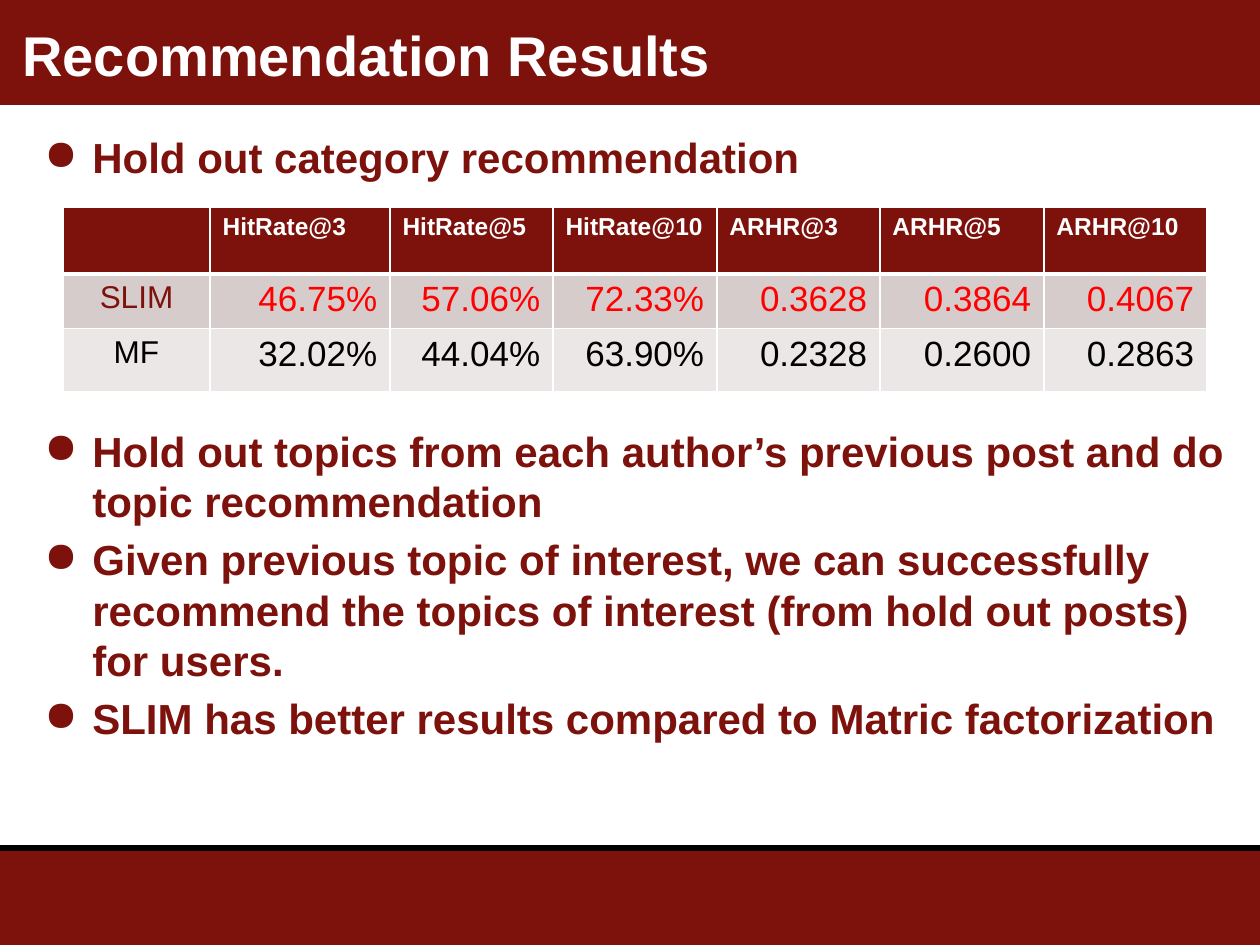
from dataclasses import dataclass

from lxml.etree import SubElement
from pptx import Presentation
from pptx.dml.color import RGBColor
from pptx.enum.shapes import MSO_CONNECTOR, MSO_SHAPE
from pptx.enum.text import MSO_ANCHOR, PP_ALIGN
from pptx.oxml.ns import qn
from pptx.util import Emu, Pt

EMU_PER_PIXEL = 914400 // 126


@dataclass(frozen=True)
class Theme:
    """Colours, font and type sizes of the deck."""
    font: str = "Arial"
    maroon: str = "7D110C"
    white: str = "FFFFFF"
    black: str = "000000"
    red: str = "FF0000"
    rose: str = "D7CCCC"
    pale: str = "ECE7E7"
    title: int = 32
    body: int = 24
    value: int = 20
    label: int = 18
    header: int = 14


@dataclass(frozen=True)
class Bullet:
    """A bulleted statement and the space above it in points."""
    text: str
    space_before: float = 4.8


@dataclass(frozen=True)
class ResultRow:
    """A table row with its look."""
    cells: tuple[str, ...]
    height: int
    fill: str
    label_color: str
    value_color: str
    is_header: bool = False


THEME = Theme()
PAGE_WIDTH, PAGE_HEIGHT = 1260, 945
BULLETS = (
    Bullet("Hold out category recommendation"),
    Bullet("Hold out topics from each author’s previous post and do topic recommendation", 138.8),
    Bullet("Given previous topic of interest, we can successfully recommend "
           "the topics of interest (from hold out posts) for users."),
    Bullet("SLIM has better results compared to Matric factorization"),
)
COLUMN_WIDTHS = (147, 180, 163, 164, 163, 164, 163)
RESULTS = (
    ResultRow(("", "HitRate@3", "HitRate@5", "HitRate@10", "ARHR@3", "ARHR@5", "ARHR@10"),
              67, THEME.maroon, THEME.white, THEME.white, True),
    ResultRow(("SLIM", "46.75%", "57.06%", "72.33%", "0.3628", "0.3864", "0.4067"),
              52, THEME.rose, THEME.maroon, THEME.red),
    ResultRow(("MF", "32.02%", "44.04%", "63.90%", "0.2328", "0.2600", "0.2863"),
              63, THEME.pale, THEME.black, THEME.black),
)


def px(pixels: int) -> Emu:
    """Turn pixels into EMU."""
    return Emu(pixels * EMU_PER_PIXEL)


def add_span(para, text: str, size: int, color: str, bold: bool) -> None:
    """Add one formatted run to a paragraph."""
    span = para.add_run()
    span.text = text
    for name, value in {"name": THEME.font, "size": Pt(size), "bold": bold}.items():
        setattr(span.font, name, value)
    span.font.color.rgb = RGBColor.from_string(color)


def add_band(page, top: int, height: int) -> None:
    """Draw a full-width maroon band."""
    band = page.shapes.add_shape(MSO_SHAPE.RECTANGLE, 0, px(top), px(PAGE_WIDTH), px(height))
    band.shadow.inherit = False
    band.fill.solid()
    band.fill.fore_color.rgb = RGBColor.from_string(THEME.maroon)
    band.line.fill.background()


def add_rule(page, top: int) -> None:
    """Draw the black line above the footer."""
    rule = page.shapes.add_connector(
        MSO_CONNECTOR.STRAIGHT, 0, px(top), px(PAGE_WIDTH), px(top))
    rule.line.color.rgb = RGBColor.from_string(THEME.black)
    rule.line.width = Pt(3.75)
    SubElement(rule._element.spPr, qn("a:effectLst"))


def add_text_frame(page, left: int, top: int, width: int, height: int, anchor: MSO_ANCHOR):
    """Add a wrapping text box and return its frame."""
    box = page.shapes.add_textbox(px(left), px(top), px(width), px(height))
    frame = box.text_frame
    for name, value in {"word_wrap": True, "vertical_anchor": anchor}.items():
        setattr(frame, name, value)
    return frame


def add_bullets(frame, bullets: tuple[Bullet, ...]) -> None:
    """Write the bullets with a hanging indent."""
    for index, bullet in enumerate(bullets):
        para = frame.add_paragraph() if index else frame.paragraphs[0]
        layout = {"space_before": Pt(bullet.space_before), "line_spacing": Pt(28.7)}
        for name, value in layout.items():
            setattr(para, name, value)
        properties = para._p.get_or_add_pPr()
        properties.set("marL", str(px(48)))
        properties.set("indent", str(px(-48)))
        SubElement(properties, qn("a:buChar")).set("char", "●")
        add_span(para, bullet.text, THEME.body, THEME.maroon, True)


def add_border(cell, side: str, width: float) -> None:
    """Give one side of a cell a white border."""
    line = SubElement(cell._tc.get_or_add_tcPr(), qn(f"a:ln{side}"), w=str(Pt(width)))
    SubElement(SubElement(line, qn("a:solidFill")), qn("a:srgbClr"), val=THEME.white)


def fill_cell(cell, text: str, row: ResultRow, is_label: bool, below_header: bool) -> None:
    """Write and format one table cell."""
    widths = {"L": 1, "R": 1, "T": 3 if below_header else 1, "B": 3 if row.is_header else 1}
    for side, width in widths.items():
        add_border(cell, side, width)
    cell.fill.solid()
    cell.fill.fore_color.rgb = RGBColor.from_string(row.fill)
    para = cell.text_frame.paragraphs[0]
    if row.is_header:
        size, para.alignment = THEME.header, PP_ALIGN.LEFT
    elif is_label:
        size, para.alignment = THEME.label, PP_ALIGN.CENTER
    else:
        size, para.alignment = THEME.value, PP_ALIGN.RIGHT
    if text:
        color = row.label_color if is_label else row.value_color
        add_span(para, text, size, color, row.is_header)


def add_results(page, left: int, top: int) -> None:
    """Build the table of recommendation scores."""
    table = page.shapes.add_table(
        len(RESULTS), len(COLUMN_WIDTHS), px(left), px(top),
        px(sum(COLUMN_WIDTHS)), px(sum(row.height for row in RESULTS))).table
    table.horz_banding = False
    for column, width in zip(table.columns, COLUMN_WIDTHS):
        column.width = px(width)
    for row_index, row in enumerate(RESULTS):
        table.rows[row_index].height = px(row.height)
        for column_index, text in enumerate(row.cells):
            fill_cell(table.cell(row_index, column_index), text, row,
                      column_index == 0, row_index == 1)


def build() -> None:
    """Build and save the deck."""
    deck = Presentation()
    deck.slide_width, deck.slide_height = px(PAGE_WIDTH), px(PAGE_HEIGHT)
    page = deck.slides.add_slide(deck.slide_layouts[6])
    add_band(page, 850, 95)
    add_rule(page, 848)
    add_band(page, 0, 105)
    add_bullets(add_text_frame(page, 32, 126, 1228, 672, MSO_ANCHOR.TOP), BULLETS)
    title = add_text_frame(page, 10, 24, 1124, 60, MSO_ANCHOR.MIDDLE)
    add_span(title.paragraphs[0], "Recommendation Results", THEME.title, THEME.white, True)
    add_results(page, 63, 207)
    deck.save("out.pptx")


build()
